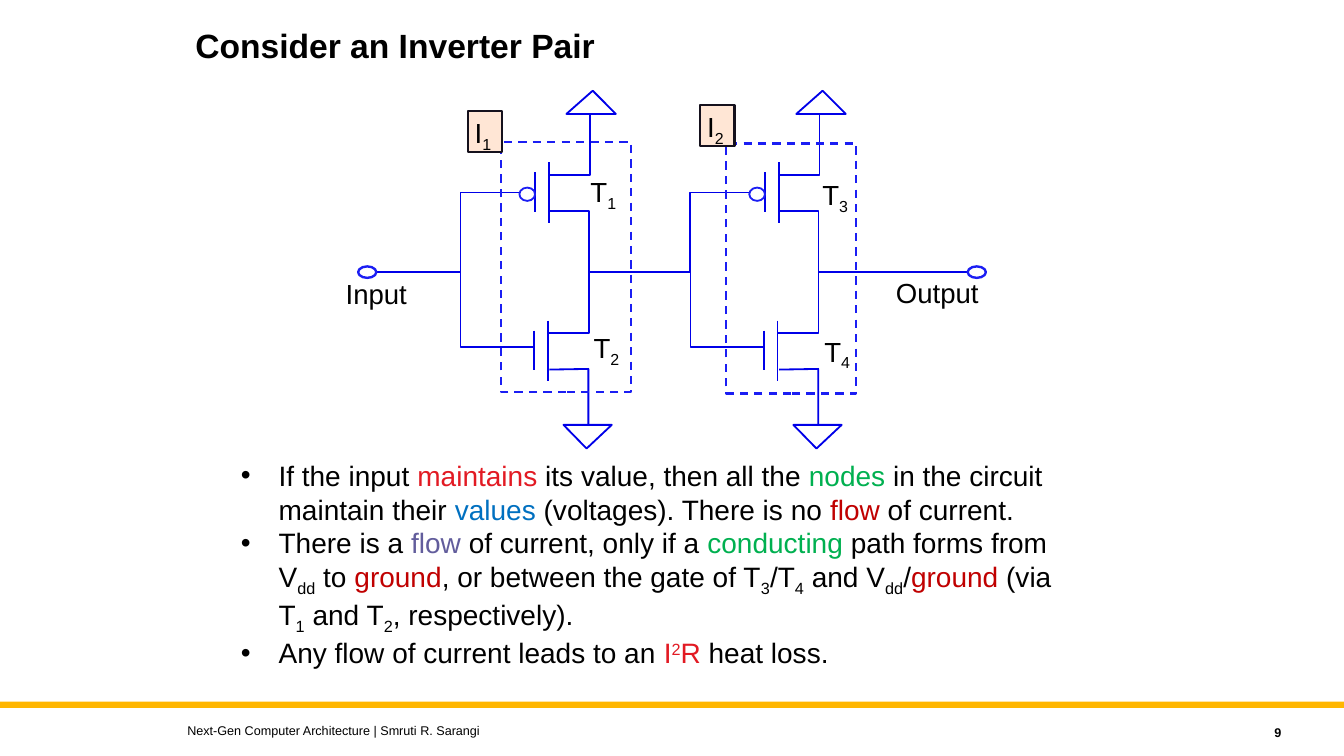
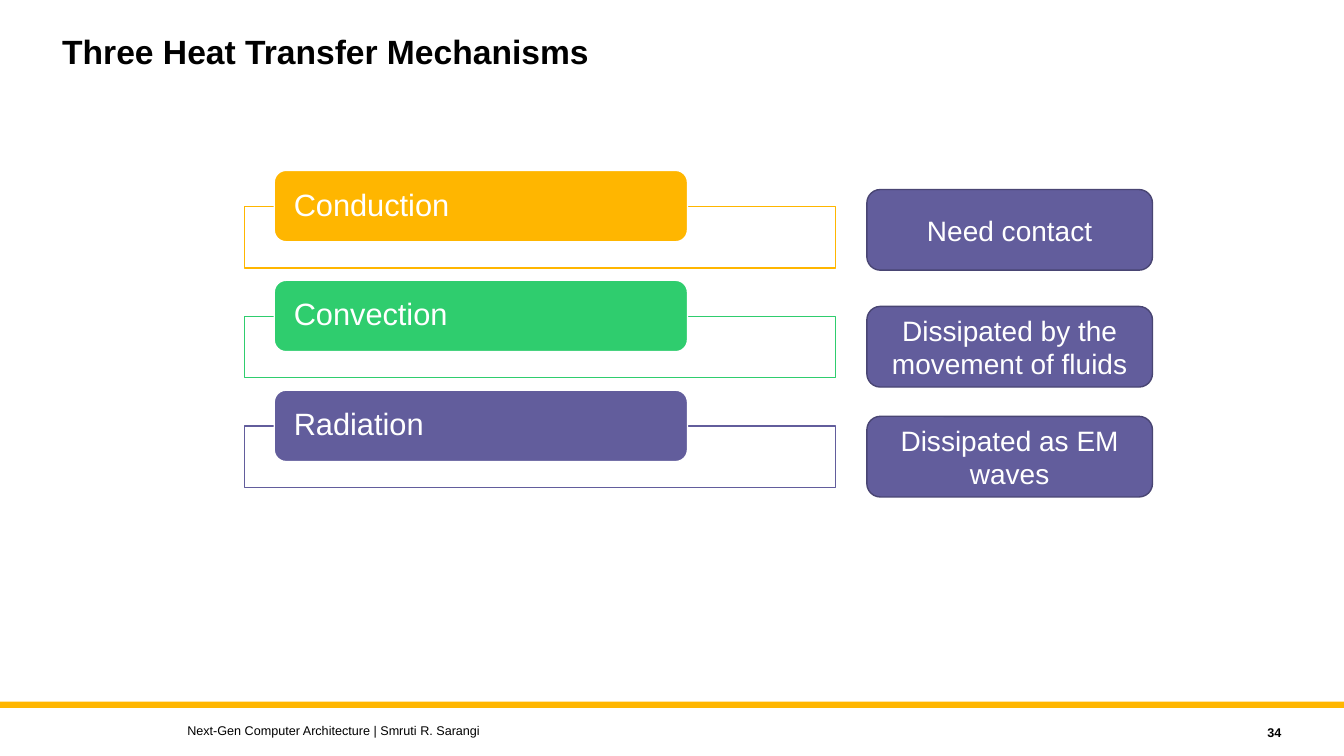
"""Builds two lecture slides: an inverter pair circuit and heat transfer mechanisms."""
import dataclasses

import lxml.etree
import pptx
import pptx.dml.color
import pptx.enum.dml
import pptx.enum.shapes
import pptx.enum.text
import pptx.oxml.ns
import pptx.util

Pt = pptx.util.Pt
qn = pptx.oxml.ns.qn
KIND = pptx.enum.shapes.MSO_SHAPE
ALIGN = pptx.enum.text.PP_ALIGN
ANCHOR = pptx.enum.text.MSO_ANCHOR


@dataclasses.dataclass(frozen=True)
class Theme:
    font: str = "Arial"
    black: str = "000000"
    white: str = "FFFFFF"
    gold: str = "FFB600"
    mint: str = "2FCD6E"
    plum: str = "625D9C"
    edge: str = "494573"
    red: str = "E21A23"
    dark: str = "C00000"
    green: str = "00B050"
    blue: str = "0070C0"
    wire: str = "0000E8"
    ring: str = "1B1EF3"
    peach: str = "FFE6D5"
    ink: str = "15111D"
    title: float = 24
    body: float = 20
    tab: float = 22
    label: float = 19.7
    foot: float = 9
    thin: float = 1.31
    dash: float = 1.47
    bold: float = 1.71


T = Theme()
WIDE, HIGH = 960, 540
INSETS = (7.2, 3.6, 7.2, 3.6)
FOOTER = "Next-Gen Computer Architecture | Smruti R. Sarangi"


def sub(text):
    return (text, T.black, -25)


POINTS = [
    ["If the input ", ("maintains", T.red), " its value, then all the ", ("nodes", T.green),
     " in the circuit maintain their ", ("values", T.blue), " (voltages). There is no ",
     ("flow", T.dark), " of current."],
    ["There is a ", ("flow", T.plum), " of current, only if a ", ("conducting", T.green),
     " path forms from V", sub("dd"), " to ", ("ground", T.dark),
     ", or between the gate of T", sub("3"), "/T", sub("4"), " and V", sub("dd"), "/",
     ("ground", T.dark), " (via T", sub("1"), " and T", sub("2"), ", respectively)."],
    ["Any flow of current leads to an ", ("I", T.red), ("2", T.red, 30), ("R", T.red),
     " heat loss."],
]

MID = 194.4
WIRES = [
    [(267.8, MID), (329, MID), (329, 137.5), (371.5, 137.5)],
    [(329, MID), (329, 248), (381, 248)],
    [(382.3, 123.1), (382.3, 151.2)],
    [(392.4, 116), (392.4, 159)],
    [(392.4, 125.3), (421.2, 125.3), (421.2, 81.4)],
    [(392.4, 150.7), (420.5, 150.7), (420.5, MID)],
    [(381.6, 236.2), (381.6, 264.2)],
    [(391.2, 229), (391.2, 272.2)],
    [(391.7, 237.6), (420.5, 237.6), (420.5, MID)],
    [(392.4, 264), (420.3, 263.5), (420.3, 303.5)],
]
SUPPLY = [(404.6, 81.4), (439.9, 81.4), (423.4, 64.8)]
GROUND = [(437, 303.5), (402.5, 303.5), (419, 320.4)]
BUBBLE = (371, 134, 11.2, 9.5)
STEP = 164.2
STAGES = [
    dict(exit=432, frame=(357.9, 101.5), tag=(334.1, 79.2), name="1"),
    dict(exit=690.5, frame=(518.8, 102.5), tag=(500.2, 74.9), name="2"),
]
LABELS = [
    (239.8, 194.4, 59, ["Input"]),
    (632.9, 193.7, 74.2, ["Output"]),
    (414.7, 121.7, 33.8, ["T", sub("1")]),
    (416.9, 232.6, 33.8, ["T", sub("2")]),
    (580.3, 123.8, 33.8, ["T", sub("3")]),
    (581.8, 235.4, 33.8, ["T", sub("4")]),
]
PORTS = [255.8, 691.2]

MODES = [
    ("Conduction", T.gold, "Need contact", 135.4),
    ("Convection", T.mint, "Dissipated by the movement of fluids", 218.9),
    ("Radiation", T.plum, "Dissipated as EM waves", 297.4),
]
PITCH = 78.5


def rgb(code):
    return pptx.dml.color.RGBColor.from_string(code)


def write(shape, paras, size, color=T.black, bold=False, align=ALIGN.LEFT,
          anchor=ANCHOR.TOP, insets=INSETS, wrap=True):
    frame = shape.text_frame
    frame.word_wrap, frame.vertical_anchor = wrap, anchor
    (frame.margin_left, frame.margin_top,
     frame.margin_right, frame.margin_bottom) = map(Pt, insets)
    for i, parts in enumerate(paras):
        para = frame.add_paragraph() if i else frame.paragraphs[0]
        para.alignment = align
        for part in parts:
            text, tint, shift = ((part,) if isinstance(part, str) else part) + (color, 0)[
                (0 if isinstance(part, str) else len(part) - 1):]
            run = para.add_run()
            run.text = text
            run.font.name, run.font.size, run.font.bold = T.font, Pt(size), bold
            run.font.color.rgb = rgb(tint)
            if shift:
                run.font._element.set("baseline", str(shift * 1000))
    return frame


def label(slide, box, paras, size, **style):
    return write(slide.shapes.add_textbox(*map(Pt, box)), paras, size, **style)


def paint(shape, fill=None, line=None, width=1):
    shape.shadow.inherit = False
    if fill:
        shape.fill.solid()
        shape.fill.fore_color.rgb = rgb(fill)
    else:
        shape.fill.background()
    if line:
        shape.line.color.rgb, shape.line.width = rgb(line), Pt(width)
    else:
        shape.line.fill.background()
    return shape


def block(slide, kind, box, *style):
    return paint(slide.shapes.add_shape(kind, *map(Pt, box)), *style)


def trace(slide, spots, shift=0, close=False):
    spots = [(Pt(x + shift), Pt(y)) for x, y in spots]
    if len(spots) == 2:
        wire = slide.shapes.add_connector(
            pptx.enum.shapes.MSO_CONNECTOR.STRAIGHT, *spots[0], *spots[1])
        wire.line.color.rgb, wire.line.width = rgb(T.wire), Pt(T.thin)
        lxml.etree.SubElement(wire._element.spPr, qn("a:effectLst"))
    else:
        path = slide.shapes.build_freeform(*spots[0], scale=1.0)
        path.add_line_segments(spots[1:], close=close)
        paint(path.convert_to_shape(), None, T.wire, T.thin)


def bullet(para):
    props = para._p.get_or_add_pPr()
    props.set("marL", str(Pt(27)))
    props.set("indent", str(-Pt(27)))
    lxml.etree.SubElement(props, qn("a:buFont")).set("typeface", T.font)
    lxml.etree.SubElement(props, qn("a:buChar")).set("char", "•")


def start(deck, title, number, left, top, width):
    slide = deck.slides.add_slide(deck.slide_layouts[6])
    block(slide, KIND.RECTANGLE, (0, 501.2, WIDE, 4.4), T.gold)
    head = label(slide, (left, top, width, 64.8), [[title]], T.title, bold=True)
    head.paragraphs[0].line_spacing = 0.9
    label(slide, (126.7, 512.6, 576, 18), [[FOOTER]], T.foot, anchor=ANCHOR.MIDDLE)
    label(slide, (821.5, 514.1, 100.8, 18), [[number]], T.foot, bold=True,
          align=ALIGN.RIGHT, anchor=ANCHOR.MIDDLE)
    return slide


def circuit(deck):
    slide = start(deck, "Consider an Inverter Pair", "9", 132.5, 17.3, 540)
    for i, stage in enumerate(STAGES):
        shift = i * STEP
        for spots in WIRES:
            trace(slide, spots, shift)
        for spots in (SUPPLY, GROUND):
            trace(slide, spots, shift, close=True)
        trace(slide, [(420.5 + shift, MID), (stage["exit"], MID)])
        x, *rest = BUBBLE
        block(slide, KIND.OVAL, (x + shift, *rest), None, T.ring, T.thin)
        frame = block(slide, KIND.RECTANGLE, (*stage["frame"], 92.9, 178.6),
                      None, T.ring, T.dash)
        frame.line.dash_style = pptx.enum.dml.MSO_LINE.DASH
        tag = block(slide, KIND.RECTANGLE, (*stage["tag"], 24.5, 29.5),
                    T.peach, T.ink, T.dash)
        write(tag, [["I", sub(stage["name"])]], T.label, insets=(5, 3.6, 0, 0))
    for x, y, width, parts in LABELS:
        label(slide, (x, y, width, 31), [parts], T.label, wrap=False)
    for x in PORTS:
        block(slide, KIND.OVAL, (x, MID - 4.1, 13, 8.2), None, T.ring, T.bold)
    for para in label(slide, (164.9, 324, 615.6, 152.6), POINTS, T.body).paragraphs:
        bullet(para)


def heat(deck):
    slide = start(deck, "Three Heat Transfer Mechanisms", "34", 37.4, 21.6, 720)
    for i, (name, color, note, top) in enumerate(MODES):
        drop = i * PITCH
        block(slide, KIND.RECTANGLE, (174.8, 147.4 + drop, 422, 44), T.white, color)
        tab = block(slide, KIND.ROUNDED_RECTANGLE, (195.9, 121.7 + drop, 295.2, 51),
                    color, T.white)
        write(tab, [[name]], T.tab, T.white, anchor=ANCHOR.MIDDLE, insets=(11.5, 0, 11.5, 0))
        tab.text_frame.paragraphs[0].line_spacing = 0.9
        card = block(slide, KIND.ROUNDED_RECTANGLE, (619.2, top, 204, 57.6), T.plum, T.edge)
        write(card, [[note]], T.body, T.white, align=ALIGN.CENTER, anchor=ANCHOR.MIDDLE)


def main():
    deck = pptx.Presentation()
    deck.slide_width, deck.slide_height = Pt(WIDE), Pt(HIGH)
    circuit(deck)
    heat(deck)
    deck.save("out.pptx")


if __name__ == "__main__":
    main()
